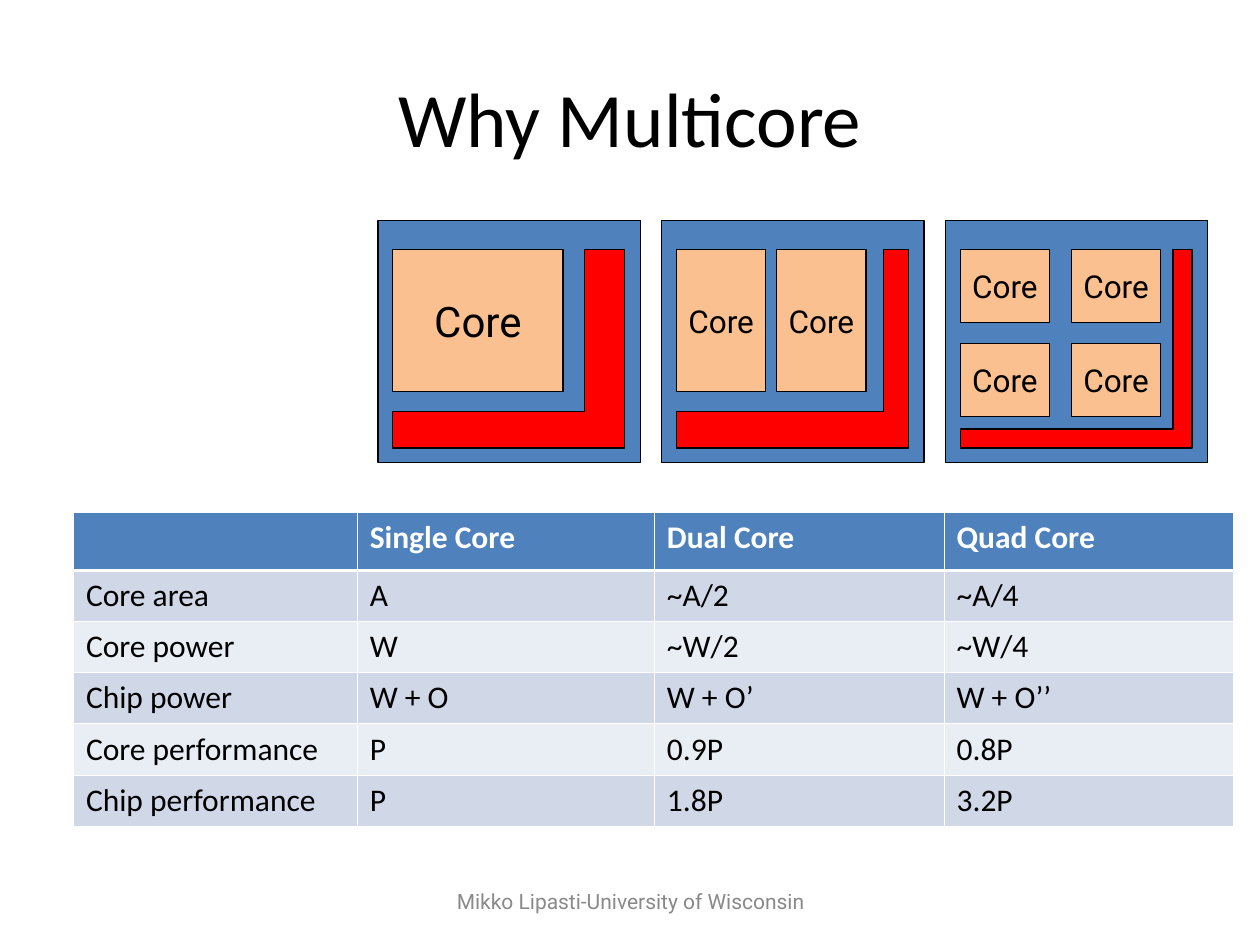
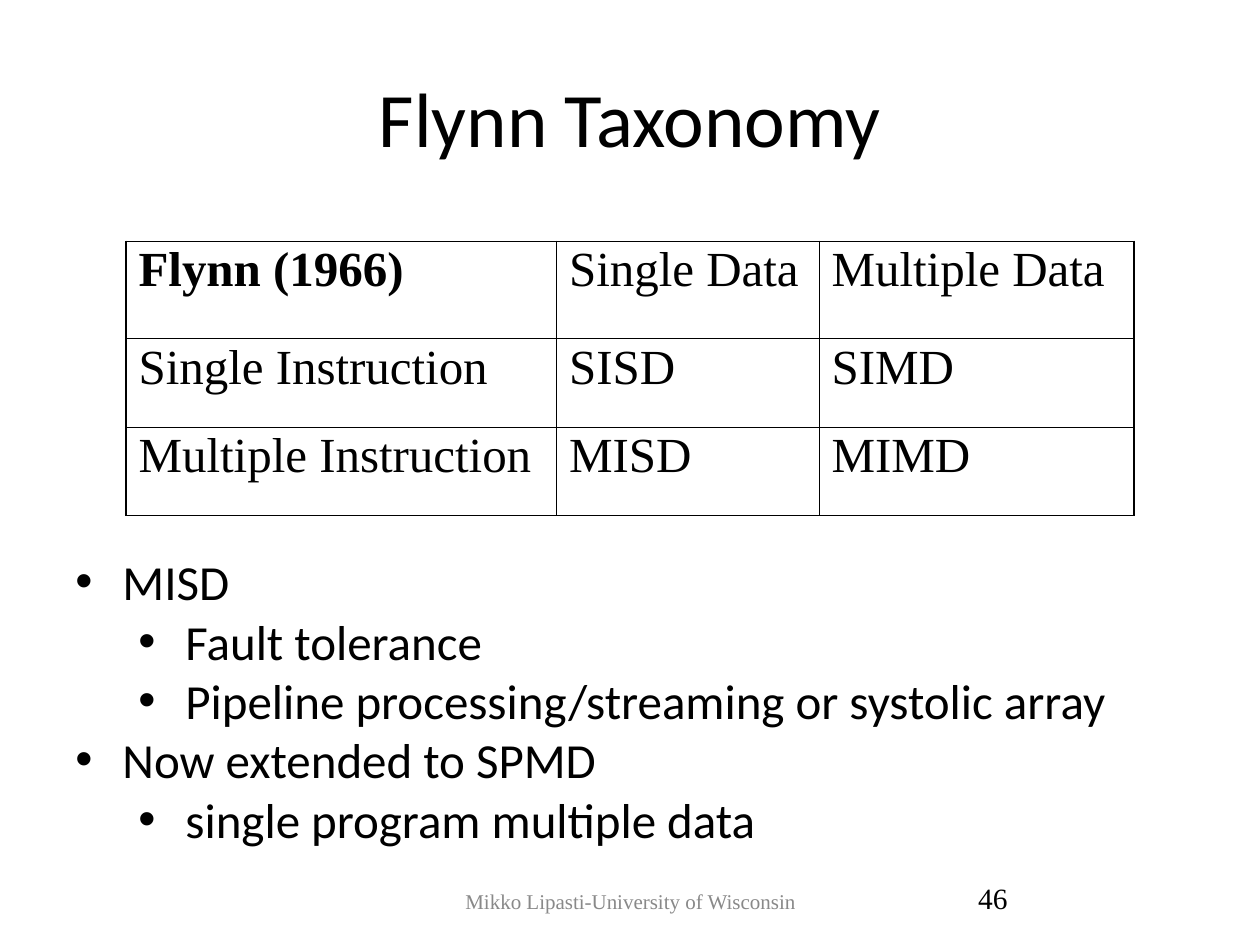
from dataclasses import dataclass

from lxml.etree import SubElement
from pptx import Presentation
from pptx.dml.color import RGBColor
from pptx.enum.shapes import MSO_SHAPE
from pptx.enum.text import MSO_ANCHOR as Anchor, PP_ALIGN as Align
from pptx.oxml.ns import qn
from pptx.util import Cm, Pt


@dataclass(frozen=True)
class Theme:
    black: str = "000000"
    white: str = "FFFFFF"
    grey: str = "898989"
    blue: str = "4F81BD"
    band_dark: str = "D0D8E8"
    band_light: str = "E9EDF4"
    core: str = "FAC090"
    cache: str = "FF0000"
    sans: str = "Calibri"
    label: str = "Roboto"
    serif: str = "Times New Roman"
    title_size: float = 44
    body_size: float = 28
    big_label_size: float = 24
    table_size: float = 18
    number_size: float = 16.8
    footer_size: float = 12
    outline: float = 0.75
    thin: float = 0.45
    frame: float = 1.08
    header_rule: float = 1.47


THEME = Theme()

FOOTER = "Mikko Lipasti-University of Wisconsin"
PAGE_NUMBER = "46"

# Lengths in cm: (columns, rows), core size, core pitch, cache arms (right, bottom)
CHIPS = [
    dict(grid=(1, 1), core=(3.43, 2.87), pitch=(0, 0), arms=(0.8, 0.73), size=THEME.big_label_size),
    dict(grid=(2, 1), core=(1.8, 2.87), pitch=(2.02, 0), arms=(0.5, 0.73), size=THEME.table_size),
    dict(grid=(2, 2), core=(1.8, 1.47), pitch=(2.24, 1.9), arms=(0.38, 0.38), size=THEME.table_size),
]
CHIP_LEFT, CHIP_TOP, CHIP_PITCH = 7.62, 4.45, 5.72
CHIP_SIZE = (5.29, 4.88)
CHIP_INSET = (0.3, 0.58)
CACHE_SIZE = (4.67, 4.0)

SCALING = [
    ("", "Single Core", "Dual Core", "Quad Core"),
    ("Core area", "A", "~A/2", "~A/4"),
    ("Core power", "W", "~W/2", "~W/4"),
    ("Chip power", "W + O", "W + O’", "W + O’’"),
    ("Core performance", "P", "0.9P", "0.8P"),
    ("Chip performance", "P", "1.8P", "3.2P"),
]
FLYNN = [
    ("Flynn (1966)", "Single Data", "Multiple Data"),
    ("Single Instruction", "SISD", "SIMD"),
    ("Multiple Instruction", "MISD", "MIMD"),
]
NOTES = [
    (0, "MISD"),
    (1, "Fault tolerance"),
    (1, "Pipeline processing/streaming or systolic array"),
    (0, "Now extended to SPMD"),
    (1, "single program multiple data"),
]


def rgb(color):
    return RGBColor.from_string(color)


def add_span(para, text, size, font, color=THEME.black, bold=False):
    span = para.add_run()
    span.text = text
    span.font.size, span.font.name, span.font.bold = Pt(size), font, bold
    span.font.color.rgb = rgb(color)


def add_box(slide, left, top, width, height, anchor=Anchor.MIDDLE):
    frame = slide.shapes.add_textbox(Cm(left), Cm(top), Cm(width), Cm(height)).text_frame
    frame.word_wrap = True
    frame.vertical_anchor = anchor
    return frame


def add_page(deck, title, footer_font):
    """Add a slide with the shared title and footer."""
    slide = deck.slides.add_slide(deck.slide_layouts[5])
    heading = slide.shapes.title
    heading.left, heading.top, heading.width, heading.height = Cm(1.27), Cm(0.76), Cm(22.86), Cm(3.18)
    heading.text_frame.vertical_anchor = Anchor.MIDDLE
    para = heading.text_frame.paragraphs[0]
    para.alignment = Align.CENTER
    add_span(para, title, THEME.title_size, THEME.sans)

    para = add_box(slide, 8.69, 17.65, 8.05, 1.02).paragraphs[0]
    para.alignment = Align.CENTER
    add_span(para, FOOTER, THEME.footer_size, footer_font, THEME.grey)
    return slide


def paint(shape, fill):
    shape.shadow.inherit = False
    shape.fill.solid()
    shape.fill.fore_color.rgb = rgb(fill)
    shape.line.color.rgb = rgb(THEME.black)
    shape.line.width = Pt(THEME.outline)


def add_block(shapes, left, top, size, fill):
    block = shapes.add_shape(MSO_SHAPE.RECTANGLE, Cm(left), Cm(top), *map(Cm, size))
    paint(block, fill)
    return block


def add_cache(shapes, left, top, arms):
    """Draw the L-shaped cache along the right and bottom of a chip."""
    right, bottom = left + CACHE_SIZE[0], top + CACHE_SIZE[1]
    inner_x, inner_y = right - arms[0], bottom - arms[1]
    corners = [(inner_x, top), (inner_x, inner_y), (left, inner_y), (left, bottom), (right, bottom)]
    outline = shapes.build_freeform(Cm(right), Cm(top))
    outline.add_line_segments([(Cm(x), Cm(y)) for x, y in corners])
    paint(outline.convert_to_shape(), THEME.cache)


def add_chip(slide, left, chip):
    shapes = slide.shapes.add_group_shape().shapes
    add_block(shapes, left, CHIP_TOP, CHIP_SIZE, THEME.blue)
    inner_left, inner_top = left + CHIP_INSET[0], CHIP_TOP + CHIP_INSET[1]
    add_cache(shapes, inner_left, inner_top, chip["arms"])
    columns, rows = chip["grid"]
    for column in range(columns):
        for row in range(rows):
            core = add_block(shapes, inner_left + column * chip["pitch"][0],
                             inner_top + row * chip["pitch"][1], chip["core"], THEME.core)
            frame = core.text_frame
            frame.word_wrap = False
            frame.vertical_anchor = Anchor.MIDDLE
            para = frame.paragraphs[0]
            para.alignment = Align.CENTER
            add_span(para, "Core", chip["size"], THEME.label)


def set_borders(cell, color, widths):
    """Draw the left, right, top and bottom borders, widths in points."""
    properties = cell._tc.get_or_add_tcPr()
    for side, width in zip("LRTB", widths):
        line = SubElement(properties, qn(f"a:ln{side}"), w=str(Pt(width)))
        SubElement(SubElement(line, qn("a:solidFill")), qn("a:srgbClr"), val=color)


def add_grid(slide, left, top, widths, heights, rows, style_cell):
    """Add a table and let style_cell(cell, para, text, row, column) finish each cell."""
    table = slide.shapes.add_table(len(rows), len(widths), Cm(left), Cm(top),
                                   Cm(sum(widths)), Cm(sum(heights))).table
    table.first_row = table.horz_banding = False
    for column, width in zip(table.columns, widths):
        column.width = Cm(width)
    for row, height in zip(table.rows, heights):
        row.height = Cm(height)
    for r, texts in enumerate(rows):
        for c, text in enumerate(texts):
            cell = table.cell(r, c)
            style_cell(cell, cell.text_frame.paragraphs[0], text, r, c)


def style_scaling(cell, para, text, row, column):
    header = row == 0
    top = THEME.header_rule if row == 1 else THEME.thin
    bottom = THEME.header_rule if header else THEME.thin
    set_borders(cell, THEME.white, (THEME.thin, THEME.thin, top, bottom))
    cell.fill.solid()
    band = THEME.band_dark if row % 2 else THEME.band_light
    cell.fill.fore_color.rgb = rgb(THEME.blue if header else band)
    if text:
        add_span(para, text, THEME.table_size, THEME.sans,
                 THEME.white if header else THEME.black, header)


def style_flynn(cell, para, text, row, column):
    last_row, last_column = len(FLYNN) - 1, len(FLYNN[0]) - 1
    on_frame = (column == 0, column == last_column, row == 0, row == last_row)
    set_borders(cell, THEME.black, [THEME.frame if edge else THEME.thin for edge in on_frame])
    cell.fill.background()
    para.line_spacing = 0.9
    add_span(para, text, THEME.body_size, THEME.serif, bold=row == column == 0)


def set_indent(para, margin, hanging=0, bullet=None):
    properties = para._p.get_or_add_pPr()
    properties.set("marL", str(Cm(margin)))
    properties.set("indent", str(Cm(-hanging)))
    if bullet:
        SubElement(properties, qn("a:buFont"), typeface="Arial")
        SubElement(properties, qn("a:buChar"), char=bullet)


def add_notes(slide):
    frame = add_box(slide, 1.27, 11.23, 22.86, 5.79, Anchor.TOP)
    for index, (level, text) in enumerate(NOTES):
        para = frame.add_paragraph() if index else frame.paragraphs[0]
        para.level = level
        set_indent(para, 0.95 + 1.27 * level, 0.95, "•")
        para.line_spacing = 0.8
        if index:
            para.space_before = Pt(7)
        add_span(para, text, THEME.body_size, THEME.sans)


def build_multicore(deck):
    slide = add_page(deck, "Why Multicore", THEME.label)
    add_grid(slide, 1.48, 10.32, (5.72, 5.99, 5.84, 5.84), [1.18] + [1.03] * 5,
             SCALING, style_scaling)
    for index, chip in enumerate(CHIPS):
        add_chip(slide, CHIP_LEFT + index * CHIP_PITCH, chip)


def build_flynn(deck):
    slide = add_page(deck, "Flynn Taxonomy", THEME.serif)
    add_grid(slide, 2.54, 4.87, (8.68, 5.29, 6.35), (1.96, 1.78, 1.78), FLYNN, style_flynn)
    add_notes(slide)
    para = add_box(slide, 18.2, 17.65, 5.93, 1.02).paragraphs[0]
    set_indent(para, 1.27)
    para.line_spacing = 0.8
    add_span(para, PAGE_NUMBER, THEME.number_size, THEME.serif)


def main():
    deck = Presentation()
    deck.slide_width, deck.slide_height = Cm(25.4), Cm(19.05)
    build_multicore(deck)
    build_flynn(deck)
    deck.save("out.pptx")


if __name__ == "__main__":
    main()
